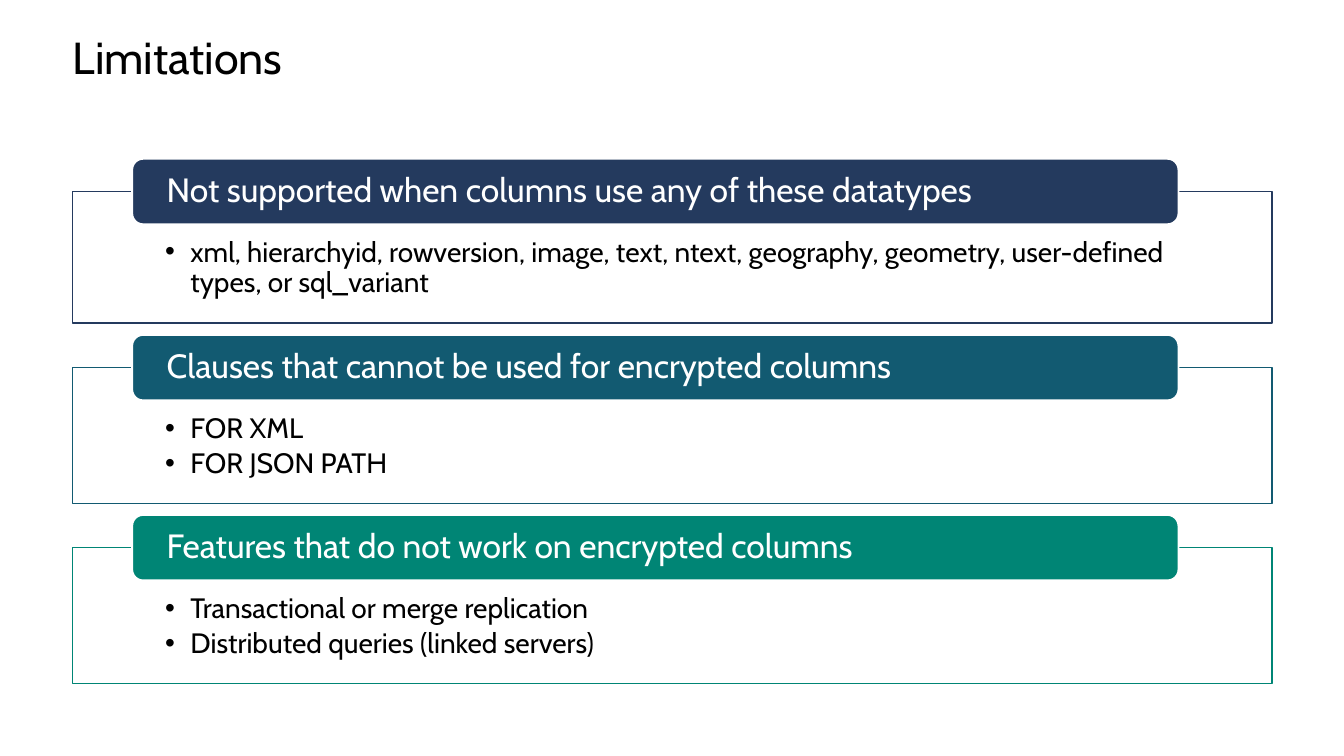
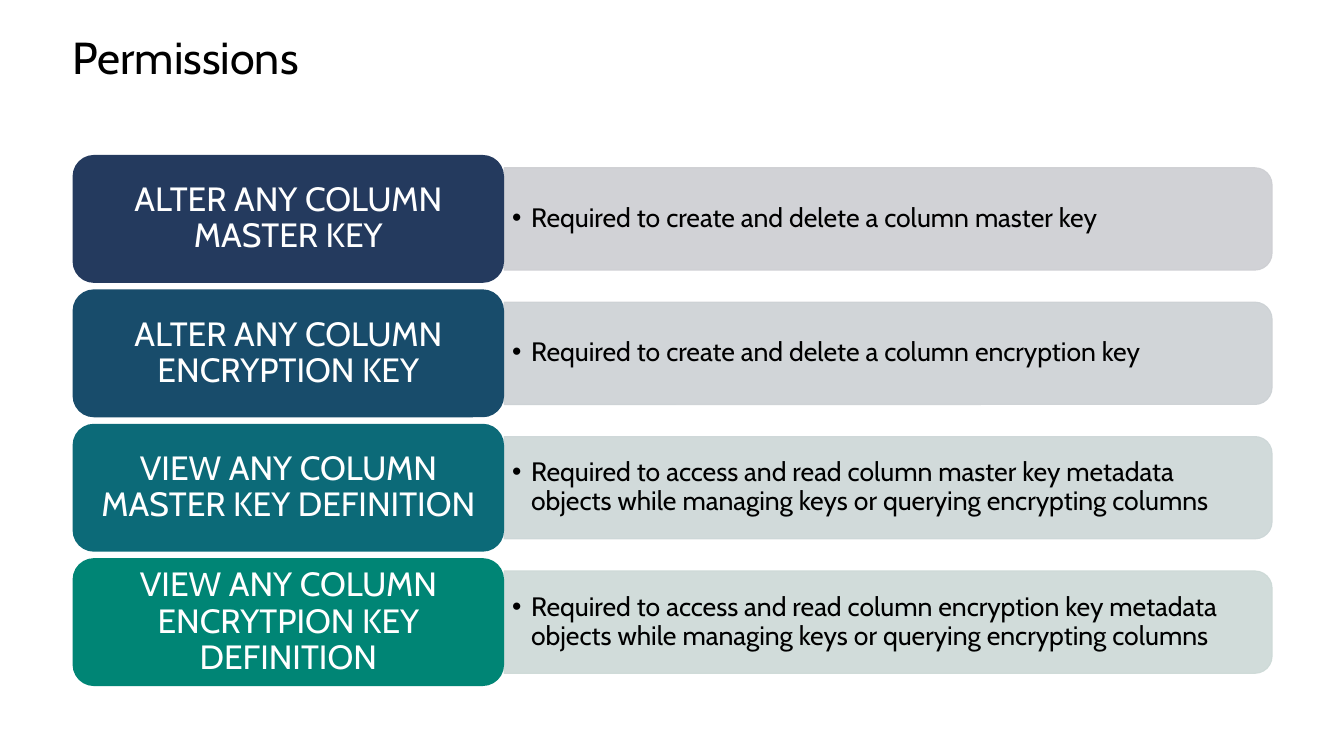
from dataclasses import dataclass

from lxml import etree
from pptx import Presentation
from pptx.dml.color import RGBColor
from pptx.enum.shapes import MSO_SHAPE
from pptx.enum.text import MSO_ANCHOR, MSO_AUTO_SIZE, PP_ALIGN
from pptx.oxml.ns import qn
from pptx.util import Pt

RECTANGLE = MSO_SHAPE.RECTANGLE
ROUNDED = MSO_SHAPE.ROUNDED_RECTANGLE
TOP_ROUNDED = MSO_SHAPE.ROUND_2_SAME_RECTANGLE
TOP, MIDDLE = MSO_ANCHOR.TOP, MSO_ANCHOR.MIDDLE
LEFT, CENTER = PP_ALIGN.LEFT, PP_ALIGN.CENTER
NO_AUTOFIT = MSO_AUTO_SIZE.NONE
TITLE_ONLY = 5


@dataclass(frozen=True)
class Theme:
    font: str = "Cabin"
    dark: str = "000000"
    light: str = "FFFFFF"
    navy: str = "243A5E"
    blue: str = "184C6B"
    petrol: str = "125A71"
    teal: str = "0C6A78"
    green: str = "008575"
    navy_tint: str = "CDCED2"
    blue_tint: str = "CCD1D4"
    teal_tint: str = "CCD6D7"
    green_tint: str = "CCD9D6"
    tint_opacity: int = 90
    title_size: int = 32
    heading_size: int = 24
    bullet_size: int = 20
    detail_size: int = 19


THEME = Theme()

SLIDE_WIDTH, SLIDE_HEIGHT = 960, 540
MARGIN = 51.84
CONTENT_WIDTH = 856.8

# Limitations: frames with a banner across the top edge
FIRST_FRAME_TOP = 136.8
FRAME_GAP = 31.8
BANNER_LEFT, BANNER_WIDTH, BANNER_HEIGHT = 94.4, 747.4, 46.8

# Permissions: rows with a label and a lower detail panel beside it
FIRST_ROW_TOP = 110.7
ROW_STEP = 96
LABEL_WIDTH, LABEL_HEIGHT = 308.2, 91.4
DETAIL_HEIGHT = 0.8 * LABEL_HEIGHT

LIMITATIONS = [
    ("Not supported when columns use any of these datatypes", THEME.navy, 94,
     ["xml, hierarchyid, rowversion, image, text, ntext, geography, geometry, "
      "user-defined types, or sql_variant"]),
    ("Clauses that cannot be used for encrypted columns", THEME.petrol, 96.8,
     ["FOR XML", "FOR JSON PATH"]),
    ("Features that do not work on encrypted columns", THEME.green, 96.8,
     ["Transactional or merge replication", "Distributed queries (linked servers)"]),
]

PERMISSIONS = [
    ("ALTER ANY COLUMN MASTER KEY", THEME.navy, THEME.navy_tint,
     "Required to create and delete a column master key"),
    ("ALTER ANY COLUMN ENCRYPTION KEY", THEME.blue, THEME.blue_tint,
     "Required to create and delete a column encryption key"),
    ("VIEW ANY COLUMN MASTER KEY DEFINITION", THEME.teal, THEME.teal_tint,
     "Required to access and read column master key metadata objects "
     "while managing keys or querying encrypting columns"),
    ("VIEW ANY COLUMN ENCRYTPION KEY DEFINITION", THEME.green, THEME.green_tint,
     "Required to access and read column encryption key metadata objects "
     "while managing keys or querying encrypting columns"),
]


def add_bullet(paragraph, indent):
    properties = paragraph._p.get_or_add_pPr()
    properties.set("marL", str(Pt(indent)))
    properties.set("indent", str(-Pt(indent)))
    etree.SubElement(properties, qn("a:buFont")).set("typeface", "Arial")
    etree.SubElement(properties, qn("a:buChar")).set("char", "•")


def write_text(shape, lines, size, color, insets=(0, 0, 0, 0), anchor=MIDDLE,
               alignment=LEFT, bullet_indent=0):
    """Fill a shape with paragraphs; insets are left, top, right, bottom."""
    frame = shape.text_frame
    frame.word_wrap = True
    frame.auto_size = NO_AUTOFIT
    frame.vertical_anchor = anchor
    (frame.margin_left, frame.margin_top,
     frame.margin_right, frame.margin_bottom) = map(Pt, insets)
    frame.text = "\n".join(lines)
    for paragraph in frame.paragraphs:
        paragraph.alignment = alignment
        paragraph.line_spacing = 0.9
        if bullet_indent:
            paragraph.space_after = Pt(3.6)
            add_bullet(paragraph, bullet_indent)
        paragraph.font.name = THEME.font
        paragraph.font.size = Pt(size)
        paragraph.font.color.rgb = RGBColor.from_string(color)


def add_box(slide, preset, left, top, width, height, fill, line=None, line_width=0.75):
    shape = slide.shapes.add_shape(preset, Pt(left), Pt(top), Pt(width), Pt(height))
    shape.shadow.inherit = False
    shape.fill.solid()
    shape.fill.fore_color.rgb = RGBColor.from_string(fill)
    if line:
        shape.line.color.rgb = RGBColor.from_string(line)
        shape.line.width = Pt(line_width)
    else:
        shape.line.fill.background()
    return shape


def set_opacity(shape, percent):
    """Make both fill and outline of a shape translucent."""
    for color in shape._element.spPr.iter(qn("a:srgbClr")):
        etree.SubElement(color, qn("a:alpha")).set("val", str(percent * 1000))


def add_titled_slide(presentation, title_text):
    slide = presentation.slides.add_slide(presentation.slide_layouts[TITLE_ONLY])
    title = slide.shapes.title
    title.left, title.top = Pt(MARGIN), Pt(25.2)
    title.width, title.height = Pt(CONTENT_WIDTH), Pt(36)
    write_text(title, [title_text], THEME.title_size, THEME.dark, anchor=TOP)
    return slide


def add_limitation(slide, top, height, heading, color, bullets):
    frame = add_box(slide, RECTANGLE, MARGIN, top, CONTENT_WIDTH, height,
                    THEME.light, color, 0.85)
    write_text(frame, bullets, THEME.bullet_size, THEME.dark,
               insets=(66.2, 33.1, 66.2, 11.5), anchor=TOP, bullet_indent=18)
    banner = add_box(slide, ROUNDED, BANNER_LEFT, top - BANNER_HEIGHT / 2,
                     BANNER_WIDTH, BANNER_HEIGHT, color, THEME.light, 1.35)
    write_text(banner, [heading], THEME.heading_size, THEME.light,
               insets=(22.4, 0, 22.4, 0))


def add_detail(slide, left, middle, width, color, text):
    """Add a panel rounded on its right side, with a bullet over it."""
    panel = add_box(slide, TOP_ROUNDED, left + (width - DETAIL_HEIGHT) / 2,
                    middle - width / 2, DETAIL_HEIGHT, width, color, color)
    panel.rotation = 90
    set_opacity(panel, THEME.tint_opacity)
    caption = slide.shapes.add_textbox(Pt(left), Pt(middle - DETAIL_HEIGHT / 2),
                                       Pt(width), Pt(DETAIL_HEIGHT))
    write_text(caption, [text], THEME.detail_size, THEME.dark,
               insets=(5.8, 3, 9.4, 3), bullet_indent=13.5)


def add_permission(slide, top, name, color, tint, text):
    add_detail(slide, MARGIN + LABEL_WIDTH, top + LABEL_HEIGHT / 2,
               CONTENT_WIDTH - LABEL_WIDTH, tint, text)
    label = add_box(slide, ROUNDED, MARGIN, top, LABEL_WIDTH, LABEL_HEIGHT, color)
    write_text(label, [name], THEME.heading_size, THEME.light,
               insets=(7, 0, 7, 0), alignment=CENTER)


def build_limitations(presentation):
    slide = add_titled_slide(presentation, "Limitations")
    top = FIRST_FRAME_TOP
    for heading, color, height, bullets in LIMITATIONS:
        add_limitation(slide, top, height, heading, color, bullets)
        top += height + FRAME_GAP


def build_permissions(presentation):
    slide = add_titled_slide(presentation, "Permissions")
    for row, permission in enumerate(PERMISSIONS):
        add_permission(slide, FIRST_ROW_TOP + row * ROW_STEP, *permission)


def main():
    presentation = Presentation()
    presentation.slide_width = Pt(SLIDE_WIDTH)
    presentation.slide_height = Pt(SLIDE_HEIGHT)
    build_limitations(presentation)
    build_permissions(presentation)
    presentation.save("out.pptx")


if __name__ == "__main__":
    main()
